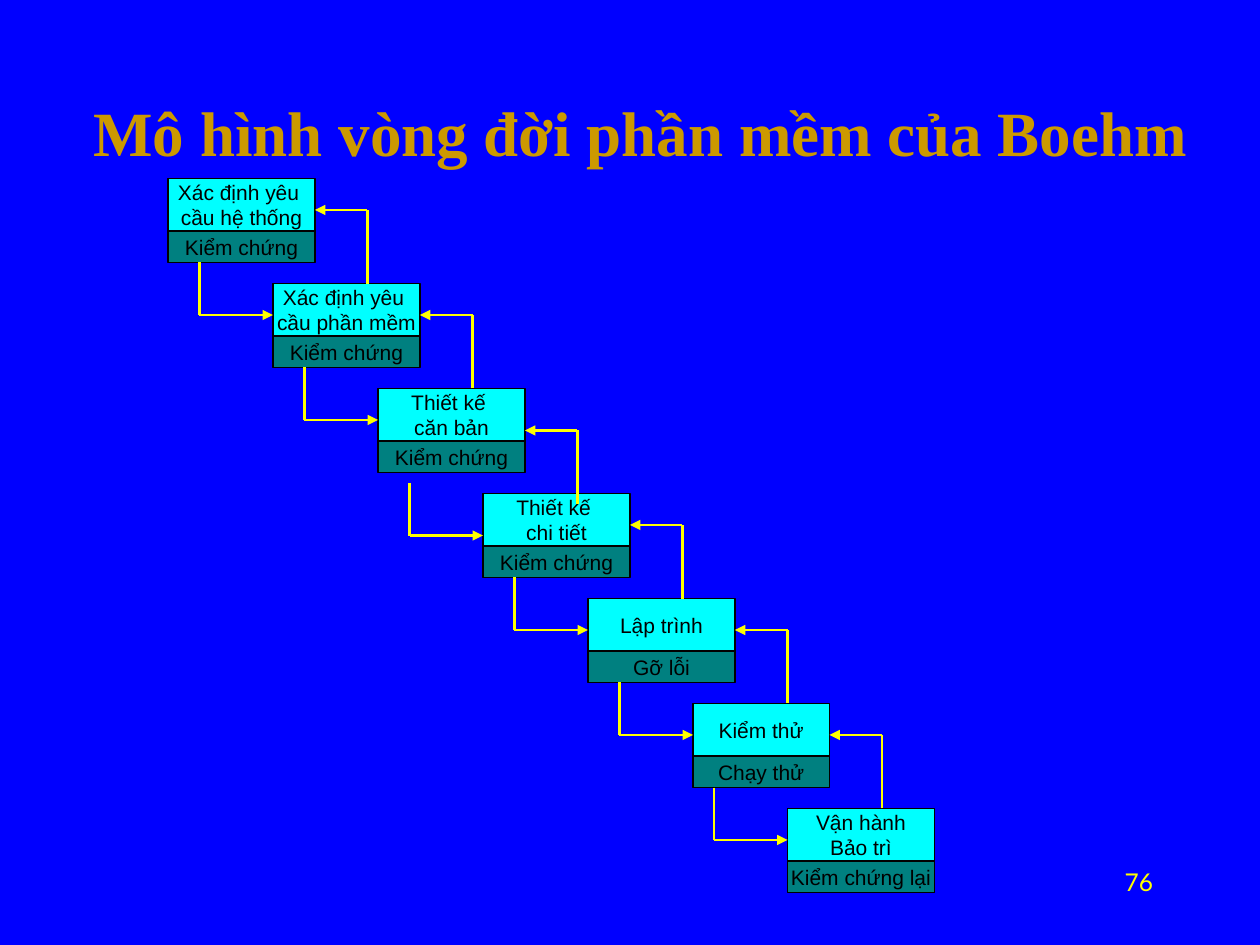
"""Build the slide of Boehm's software life cycle as a staircase of stages."""
from lxml.etree import SubElement
from pptx import Presentation
from pptx.dml.color import RGBColor
from pptx.enum.shapes import MSO_CONNECTOR as Connector, MSO_SHAPE as Shape
from pptx.enum.text import MSO_ANCHOR as Anchor, PP_ALIGN as Align
from pptx.oxml.ns import qn
from pptx.util import Cm, Pt

TITLE = "Mô hình vòng đời phần mềm của Boehm"
PAGE_NUMBER = "76"
STAGES = [
    {"lines": ["Xác định yêu ", "cầu hệ thống"], "check": "Kiểm chứng"},
    {"lines": ["Xác định yêu ", "cầu phần mềm"], "check": "Kiểm chứng"},
    {"lines": ["Thiết kế ", "căn bản"], "check": "Kiểm chứng", "arrow_shift": 1},
    {"lines": ["Thiết kế ", "chi tiết"], "check": "Kiểm chứng"},
    {"lines": ["Lập trình"], "check": "Gỡ lỗi"},
    {"lines": ["Kiểm thử"], "check": "Chạy thử", "width": 13},
    {"lines": ["Vận hành", "Bảo trì"], "check": "Kiểm chứng lại"},
]

UNIT = 2.54 / 12
FIRST_LEFT, FIRST_TOP = 16, 17
BOX_WIDTH, STAGE_HEIGHT, CHECK_HEIGHT = 14, 5, 3
OVERLAP, STEP_DOWN = 4, 10

BLUE, GOLD, YELLOW = "0000FF", "CC9900", "FFFF00"
CYAN, TEAL, BLACK = "00FFFF", "008080", "000000"
TITLE_FONT = {"name": "Times New Roman", "size": Pt(36), "bold": True}
BOX_FONT = {"name": "Arial", "size": Pt(12)}
NUMBER_FONT = {"name": "Lato", "size": Pt(14)}


def color(hex_string):
    return RGBColor.from_string(hex_string)


def grid(*units):
    return [Cm(unit * UNIT) for unit in units]


def write(shape, lines, font_format, font_color, alignment, anchor, wrap):
    frame = shape.text_frame
    frame.word_wrap = wrap
    frame.vertical_anchor = anchor
    frame.text = "\n".join(lines)
    for paragraph in frame.paragraphs:
        paragraph.alignment = alignment
        for run in paragraph.runs:
            for name, value in font_format.items():
                setattr(run.font, name, value)
            run.font.color.rgb = color(font_color)


def add_box(slide, left, top, width, height, lines, fill_color):
    box = slide.shapes.add_shape(Shape.RECTANGLE, *grid(left, top, width, height))
    box.shadow.inherit = False
    box.fill.solid()
    box.fill.fore_color.rgb = color(fill_color)
    box.line.color.rgb = color(BLACK)
    box.line.width = Pt(0.75)
    write(box, lines, BOX_FONT, BLACK, Align.CENTER, Anchor.MIDDLE, False)


def add_line(slide, start, end, arrow=False):
    connector = slide.shapes.add_connector(Connector.STRAIGHT, *grid(*start, *end))
    connector.line.color.rgb = color(YELLOW)
    connector.line.width = Pt(1.5)
    if arrow:
        SubElement(connector.line._get_or_add_ln(), qn("a:tailEnd"), type="triangle")
    SubElement(connector._element.spPr, qn("a:effectLst"))


def add_elbow(slide, start, corner, end):
    add_line(slide, start, corner)
    add_line(slide, corner, end, arrow=True)


def main():
    presentation = Presentation()
    presentation.slide_width, presentation.slide_height = Cm(25.4), Cm(19.05)
    slide = presentation.slides.add_slide(presentation.slide_layouts[6])
    slide.background.fill.solid()
    slide.background.fill.fore_color.rgb = color(BLUE)

    title = slide.shapes.add_textbox(*grid(7, 5, 108, 15))
    write(title, [TITLE], TITLE_FONT, GOLD, Align.CENTER, Anchor.MIDDLE, True)

    left, top = FIRST_LEFT, FIRST_TOP
    elbows = []
    for stage in STAGES:
        width = stage.get("width", BOX_WIDTH)
        add_box(slide, left, top, width, STAGE_HEIGHT, stage["lines"], CYAN)
        add_box(slide, left, top + STAGE_HEIGHT, width, CHECK_HEIGHT, [stage["check"]], TEAL)
        right = left + width
        next_left = right - OVERLAP
        arrow_top = top + stage.get("arrow_shift", 0)
        back_x, back_y = right + 5, arrow_top + 3
        drop_x, drop_y = next_left - 7, arrow_top + STEP_DOWN + 3
        bottom = arrow_top + STAGE_HEIGHT + CHECK_HEIGHT
        elbows += [
            [(back_x, arrow_top + STEP_DOWN), (back_x, back_y), (right, back_y)],
            [(drop_x, bottom), (drop_x, drop_y), (next_left, drop_y)],
        ]
        left, top = next_left, top + STEP_DOWN

    for elbow in elbows[:-2]:
        add_elbow(slide, *elbow)

    number = slide.shapes.add_textbox(*grid(86, 82, 25, 6))
    write(number, [PAGE_NUMBER], NUMBER_FONT, YELLOW, Align.RIGHT, Anchor.TOP, True)
    presentation.save("out.pptx")


if __name__ == "__main__":
    main()
